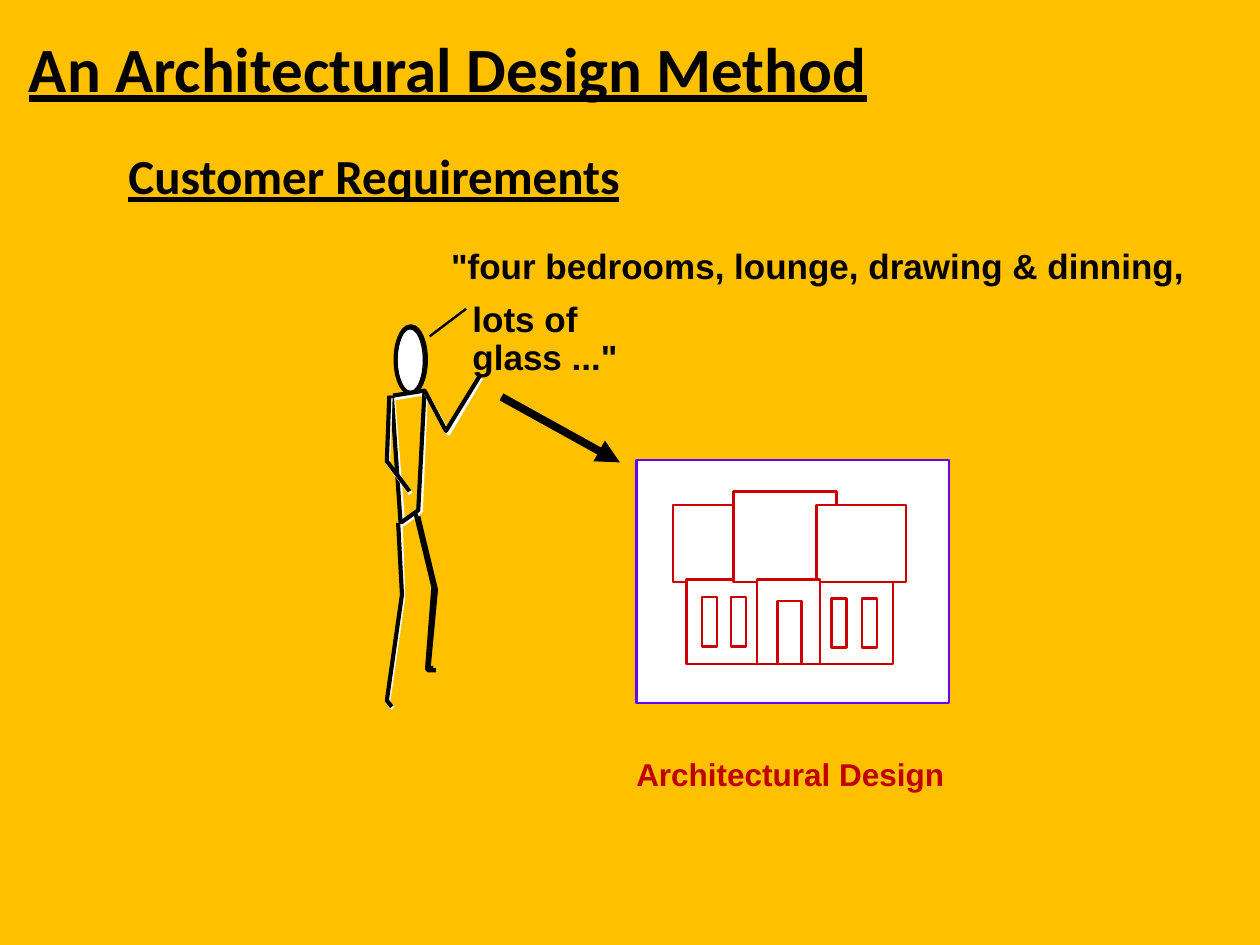
"""Build the architectural design method slide on a grid of 1000 columns by 750 rows."""
from lxml.etree import SubElement
from pptx import Presentation
from pptx.dml.color import RGBColor
from pptx.enum.shapes import MSO_CONNECTOR, MSO_SHAPE
from pptx.enum.text import MSO_ANCHOR, MSO_AUTO_SIZE, PP_ALIGN
from pptx.oxml.ns import qn
from pptx.util import Inches, Pt

COLORS = {"page": "FFC000", "ink": "000000", "paper": "FFFFFF",
          "frame": "6600FF", "house": "CC0000", "caption": "C00000"}

deck = Presentation()
deck.slide_width, deck.slide_height = Inches(10), Inches(7.5)
cell = deck.slide_width // 1000
page = deck.slides.add_slide(deck.slide_layouts[5])
page.background.fill.solid()
page.background.fill.fore_color.rgb = RGBColor.from_string(COLORS["page"])


def style(shape, line, width, fill=None):
    shape.shadow.inherit = False
    shape.line.color.rgb = RGBColor.from_string(COLORS[line])
    shape.line.width = Pt(width)
    if fill:
        shape.fill.solid()
        shape.fill.fore_color.rgb = RGBColor.from_string(COLORS[fill])
    else:
        shape.fill.background()


def write(box, place, words, font, color, inset=(0, 0)):
    box.left, box.top, box.width, box.height = [cell * length for length in place]
    frame = box.text_frame
    side, edge = [cell * length for length in inset]
    layout = {"margin_left": side, "margin_right": side, "margin_top": edge,
              "margin_bottom": edge, "word_wrap": False,
              "vertical_anchor": MSO_ANCHOR.TOP, "auto_size": MSO_AUTO_SIZE.SHAPE_TO_FIT_TEXT}
    for name, value in layout.items():
        setattr(frame, name, value)
    para = frame.paragraphs[0]
    para.text = words
    para.alignment = PP_ALIGN.LEFT
    para.line_spacing = 0.9
    for span in para.runs:
        for name, value in font.items():
            setattr(span.font, name, value)
        span.font.color.rgb = RGBColor.from_string(COLORS[color])


heading = {"name": "Calibri", "bold": True, "underline": True}
speech = {"name": "Arial", "size": Pt(20), "bold": True}

write(page.shapes.title, (16, 27, 687, 60), "An Architectural Design Method",
      {**heading, "size": Pt(36)}, "ink", (7, 3))
for place, words, font, color in [
    ((358, 198, 588, 30), '"four bedrooms, lounge, drawing & dinning,', speech, "ink"),
    ((375, 240, 206, 30), 'lots of\vglass ..."', speech, "ink"),
    ((102, 121, 394, 42), "Customer Requirements", {**heading, "size": Pt(28)}, "ink"),
    ((505, 603, 247, 27), "Architectural Design", {**speech, "size": Pt(18)}, "caption"),
]:
    write(page.shapes.add_textbox(0, 0, cell, cell), place, words, font, color)

for place, width, fill in [((315, 261, 21, 50), 0.75, "paper"),
                           ((314, 259, 24, 53), 2.38, None)]:
    head = page.shapes.add_shape(MSO_SHAPE.OVAL, *[cell * length for length in place])
    style(head, "ink", width, fill)

torso = [(312, 314), (337, 310), (332, 405), (318, 415), (311, 314)]
raised_arm = [(337, 310), (354, 342), (381, 298)]
lowered_arm = [(309, 314), (307, 366), (325, 390)]
front_leg = [(330, 408), (344, 466), (339, 531), (344, 530)]
back_leg = [(316, 415), (319, 472), (307, 556), (311, 561)]
for limb, echo in [(torso, "paper"), (raised_arm, "paper"), (lowered_arm, "paper"),
                   (front_leg, "ink"), (back_leg, "paper")]:
    for color, shift in [(echo, 1.5), ("ink", 0)]:
        points = [(across + shift, down + shift) for across, down in limb]
        builder = page.shapes.build_freeform(*points[0], scale=cell)
        builder.add_line_segments(points[1:], close=False)
        style(builder.convert_to_shape(), color, 2.38)

frame = (505, 365, 248, 193)
wings = [(534, 401, 50, 61), (545, 460, 164, 67), (582, 390, 82, 72),
         (648, 401, 71, 61), (601, 460, 50, 67)]
door = (617, 477, 19, 50)
windows = [(left, top, 12, 39) for left, top in [(557, 474), (580, 474), (660, 475), (684, 475)]]
for place in [frame, *wings, door, *windows]:
    block = page.shapes.add_shape(MSO_SHAPE.RECTANGLE, *[cell * length for length in place])
    style(block, "frame" if place == frame else "house", 1.38, "paper")

for ends, width, arrow in [((341, 267, 370, 245), 1.38, False),
                           ((398, 315, 492, 367), 4.5, True)]:
    stroke = page.shapes.add_connector(MSO_CONNECTOR.STRAIGHT, *[cell * end for end in ends])
    stroke.line.color.rgb = RGBColor.from_string(COLORS["ink"])
    stroke.line.width = Pt(width)
    properties = stroke.element.spPr
    if arrow:
        SubElement(properties.find(qn("a:ln")), qn("a:tailEnd"), type="triangle")
    SubElement(properties, qn("a:effectLst"))

deck.save("out.pptx")
